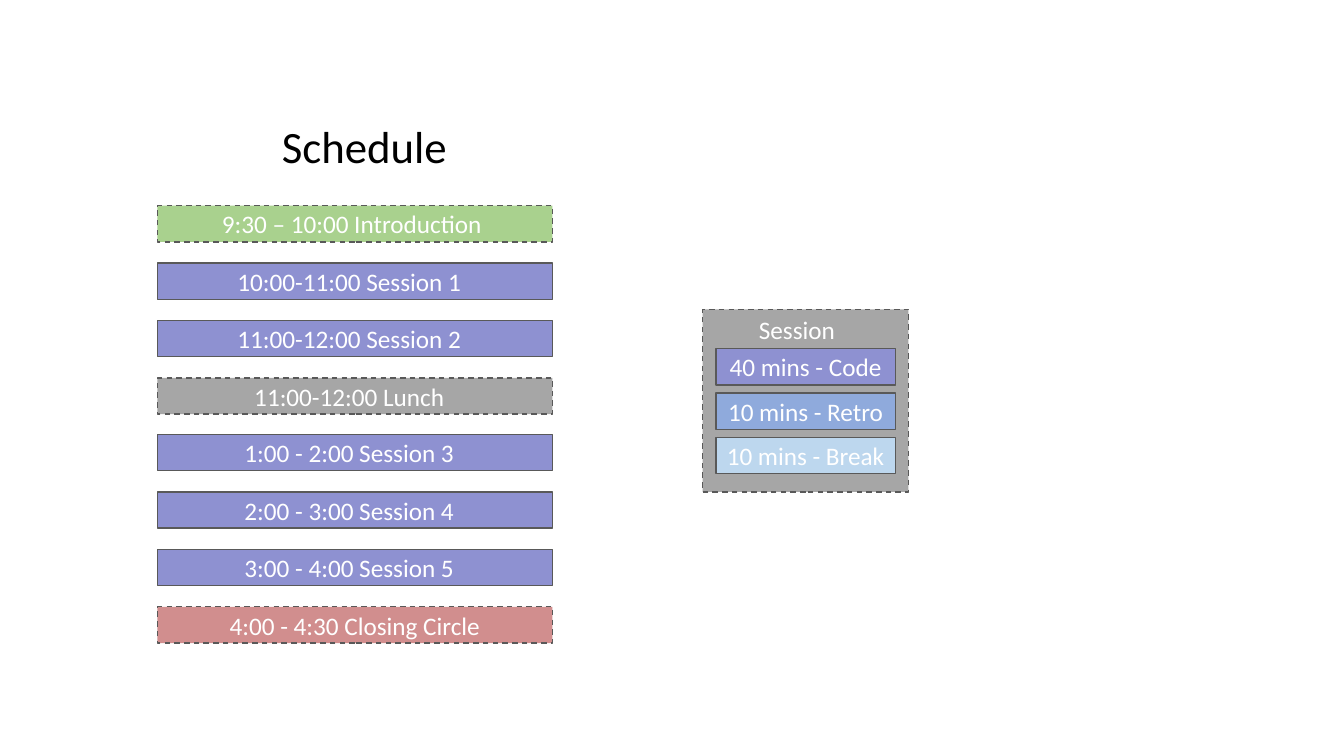
from pptx import Presentation
from pptx.dml.color import RGBColor
from pptx.enum.dml import MSO_LINE
from pptx.enum.shapes import MSO_SHAPE
from pptx.enum.text import MSO_ANCHOR, MSO_AUTO_SIZE, PP_ALIGN
from pptx.util import Emu, Pt

RECTANGLE = MSO_SHAPE.RECTANGLE
DASH = MSO_LINE.DASH
TOP, MIDDLE = MSO_ANCHOR.TOP, MSO_ANCHOR.MIDDLE
CENTER = PP_ALIGN.CENTER
GROW = MSO_AUTO_SIZE.SHAPE_TO_FIT_TEXT

EMU_PER_PX = 9144  # 100 px to the inch
TITLE_ONLY = 5
BAR_HEIGHT = 36
COLOURS = {
    "title": "000000",
    "label": "FFFFFF",
    "outline": "595959",
    "opening": "A9D18E",
    "session": "8E91D1",
    "pause": "A6A6A6",
    "closing": "D18E8E",
    "retro": "8FAADC",
    "break": "BDD7EE",
}

# label, colour, dashed outline, extra right inset
TIMETABLE = [
    ("9:30 – 10:00 Introduction", "opening", True, 6),
    ("10:00-11:00 Session 1", "session", False, 11),
    ("11:00-12:00 Session 2", "session", False, 11),
    ("11:00-12:00 Lunch", "pause", True, 11),
    ("1:00 - 2:00 Session 3", "session", False, 11),
    ("2:00 - 3:00 Session 4", "session", False, 11),
    ("3:00 - 4:00 Session 5", "session", False, 11),
    ("4:00 - 4:30 Closing Circle", "closing", True, 0),
]
SESSION_PARTS = [
    ("40 mins - Code", "session"),
    ("10 mins - Retro", "retro"),
    ("10 mins - Break", "break"),
]


def px(length):
    return Emu(length * EMU_PER_PX)


def colour(name):
    return RGBColor.from_string(COLOURS[name])


class SlideBuilder:
    font_name = "Calibri"

    def __init__(self, slide):
        self.slide = slide

    def label(self, shape, text, size, text_colour, anchor, extra_right=0):
        frame = shape.text_frame
        frame_format = {
            "word_wrap": True,
            "vertical_anchor": anchor,
            "margin_left": px(10),
            "margin_right": px(10 + extra_right),
            "margin_top": px(5),
            "margin_bottom": px(5),
        }
        for attribute, value in frame_format.items():
            setattr(frame, attribute, value)
        frame.text = text
        paragraph = frame.paragraphs[0]
        paragraph.alignment = CENTER
        font = paragraph.runs[0].font
        for attribute, value in {"name": self.font_name, "size": Pt(size)}.items():
            setattr(font, attribute, value)
        font.color.rgb = colour(text_colour)

    def title(self, text, left, top, width, height):
        heading = self.slide.shapes.title
        place = {"left": left, "top": top, "width": width, "height": height}
        for attribute, value in place.items():
            setattr(heading, attribute, px(value))
        self.label(heading, text, 32, "title", TOP)
        heading.text_frame.auto_size = GROW

    def group(self):
        return self.slide.shapes.add_group_shape()

    def bar(self, text, fill, left, top, width, height=BAR_HEIGHT,
            dashed=False, anchor=MIDDLE, extra_right=0, group=None):
        shapes = group.shapes if group else self.slide.shapes
        bar = shapes.add_shape(RECTANGLE, px(left), px(top), px(width), px(height))
        bar.shadow.inherit = False
        bar.fill.solid()
        bar.fill.fore_color.rgb = colour(fill)
        bar.line.color.rgb = colour("outline")
        bar.line.width = Pt(1)
        if dashed:
            bar.line.dash_style = DASH
        self.label(bar, text, 18, "label", anchor, extra_right)


def main():
    presentation = Presentation()
    presentation.slide_width = px(1333)
    presentation.slide_height = px(750)
    layout = presentation.slide_layouts[TITLE_ONLY]
    builder = SlideBuilder(presentation.slides.add_slide(layout))

    builder.title("Schedule", 67, 113, 589, 64)

    first_top, last_top = 204, 602
    pitch = (last_top - first_top) / (len(TIMETABLE) - 1)
    for row, (label, fill, dashed, extra_right) in enumerate(TIMETABLE):
        builder.bar(label, fill, 156, first_top + round(row * pitch), 392,
                    dashed=dashed, extra_right=extra_right)

    session = builder.group()
    builder.bar("Session", "pause", 697, 307, 204, 181, dashed=True,
                anchor=TOP, extra_right=17, group=session)
    for row, (label, fill) in enumerate(SESSION_PARTS):
        builder.bar(label, fill, 710, 346 + row * 44, 178, group=session)

    presentation.save("out.pptx")


if __name__ == "__main__":
    main()
